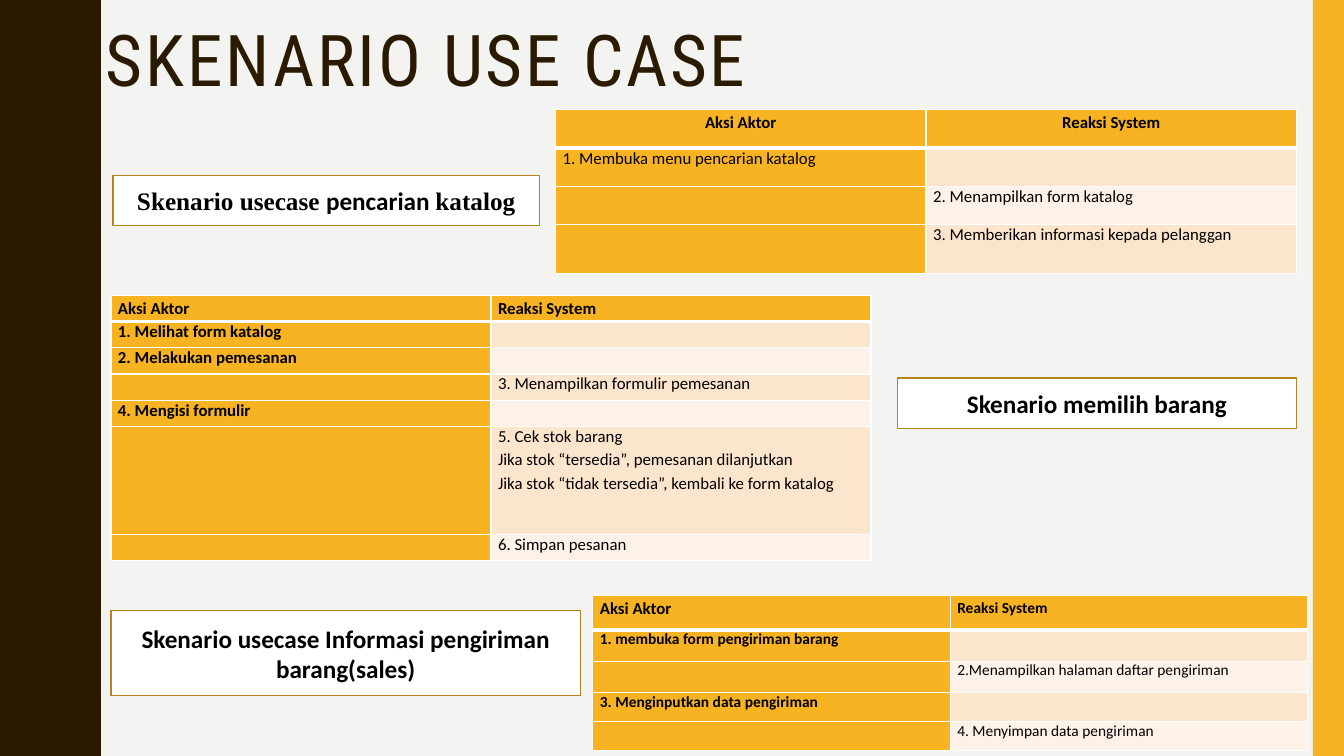
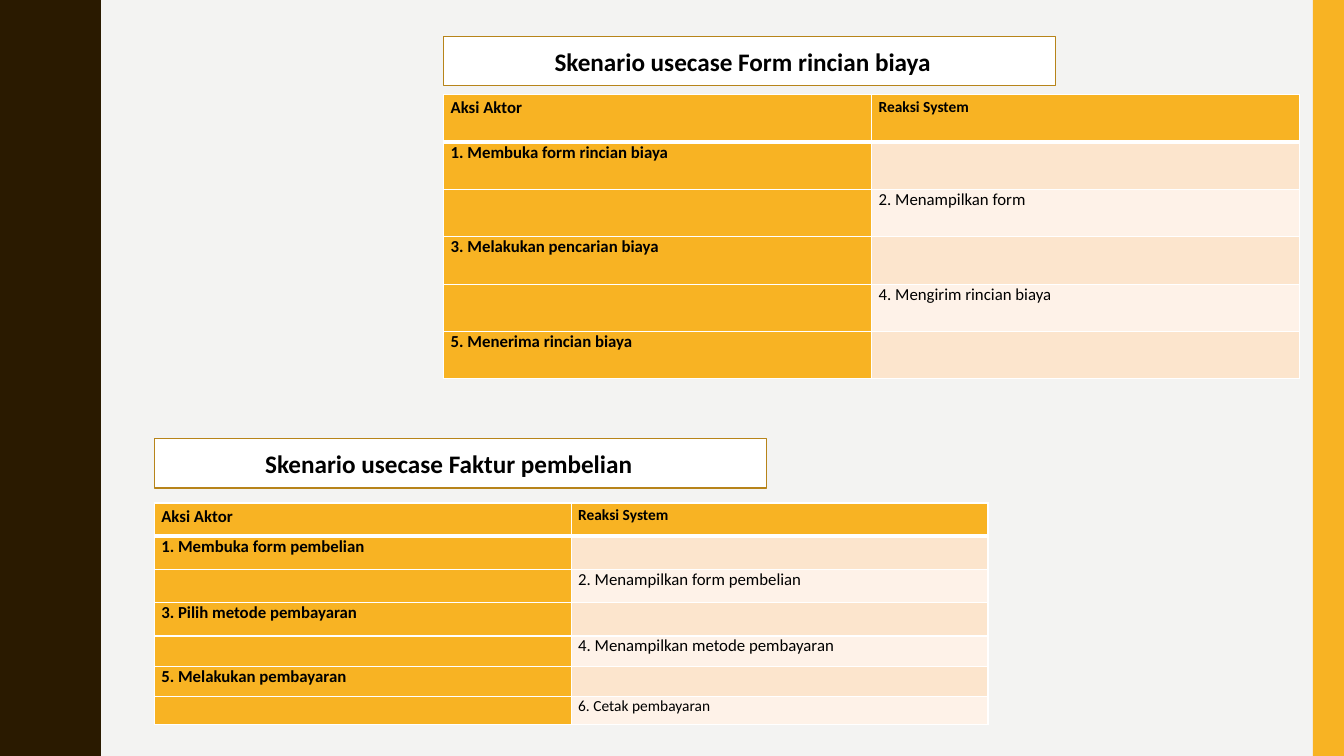
from lxml.etree import SubElement
from pptx import Presentation
from pptx.dml.color import RGBColor as Rgb
from pptx.enum.shapes import MSO_SHAPE as Shape
from pptx.enum.text import MSO_ANCHOR as Anchor, MSO_AUTO_SIZE as Auto, PP_ALIGN as Align
from pptx.oxml.ns import qn
from pptx.util import Inches, Pt

WIDE, HIGH = 13.33, 7.5
DARK, GOLD, EDGE, PALE = "2A1A00", "F8B323", "B7841A", "F3F3F2"
WHITE, BLACK = "FFFFFF", "000000"
BANDS = "FCE5CD", "FEF2E8"
HEADS = "Aksi Aktor", "Reaksi System"
FACE, SERIF, TITLE = "Calibri", "Times New Roman", "Roboto Condensed"
HALF = [
    (0.78, 0), (0.78, 0.07), (0.79, 0.14), (0.8, 0.2), (0.81, 0.25),
    (0.83, 0.29), (0.85, 0.33), (0.87, 0.38), (0.89, 0.42), (0.91, 0.46),
    (0.93, 0.5), (0.95, 0.55), (0.96, 0.61), (0.97, 0.68), (0.97, 0.75),
]
CYCLE = 1.5


def tint(code):
    return Rgb.from_string(code)


class Deck:
    def __init__(self):
        self.show = Presentation()
        self.show.slide_width = Inches(WIDE)
        self.show.slide_height = Inches(HIGH)
        self.paint(self.show.slide_master.background, PALE)
        self.slide = None

    def paint(self, item, code):
        item.fill.solid()
        item.fill.fore_color.rgb = tint(code)

    def style(self, run, size, face=FACE, bold=False, code=BLACK):
        font = run.font
        font.size, font.name, font.bold = Pt(size), face, bold
        font.color.rgb = tint(code)

    def page(self, title=None):
        lay = self.show.slide_layouts[5 if title else 6]
        self.slide = self.show.slides.add_slide(lay)
        self.wave()
        self.block(13.02, 0, 0.31, HIGH, GOLD)
        if title:
            self.title(title)

    def wave(self):
        pts = []
        for turn in range(5):
            top = turn * CYCLE
            pts += [(x, top + y) for x, y in HALF]
            pts += [(x, top + CYCLE - y) for x, y in reversed(HALF)]
        pen = self.slide.shapes.build_freeform(0, 0, scale=Inches(1))
        pen.add_line_segments(pts + [(0, HIGH)], close=True)
        side = pen.convert_to_shape()
        side.shadow.inherit = False
        self.paint(side, DARK)
        side.line.fill.background()

    def block(self, x, y, w, h, code, edge=None):
        box = self.slide.shapes.add_shape(
            Shape.RECTANGLE, Inches(x), Inches(y), Inches(w), Inches(h))
        box.shadow.inherit = False
        self.paint(box, code)
        if edge:
            box.line.color.rgb = tint(edge)
            box.line.width = Pt(1)
        else:
            box.line.fill.background()
        return box

    def title(self, text):
        head = self.slide.shapes.title
        head.left, head.top = Inches(0.95), Inches(0.2)
        head.width, head.height = Inches(11.13), Inches(1.63)
        frame = head.text_frame
        frame.text = text
        frame.auto_size = Auto.NONE
        frame.vertical_anchor = Anchor.TOP
        para = frame.paragraphs[0]
        para.alignment, para.line_spacing = Align.LEFT, 0.9
        run = para.runs[0]
        self.style(run, 51, TITLE, code=DARK)
        run.font._element.set("spc", "200")

    def label(self, x, y, w, h, *parts, inset=None):
        frame = self.block(x, y, w, h, WHITE, EDGE).text_frame
        frame.word_wrap = True
        frame.vertical_anchor = Anchor.MIDDLE
        para = frame.paragraphs[0]
        para.alignment = Align.CENTER
        if inset:
            para.alignment = Align.LEFT
            frame.margin_left = Inches(inset)
        for text, face in parts:
            run = para.add_run()
            run.text = text
            self.style(run, 18, face, True)

    def cell(self, cell, text, size, bold, code, rules, head=False, align=Align.LEFT):
        cell.margin_left = cell.margin_right = Inches(0.07)
        cell.margin_top = cell.margin_bottom = 0
        prop = cell._tc.get_or_add_tcPr()
        for side, wide in zip("LRTB", rules):
            line = SubElement(prop, qn(f"a:ln{side}"), w=str(Pt(wide)))
            fill = SubElement(line, qn("a:solidFill"))
            SubElement(fill, qn("a:srgbClr"), val=WHITE)
        self.paint(cell, code)
        frame = cell.text_frame
        if not text:
            SubElement(frame.paragraphs[0]._p, qn("a:endParaRPr"), sz=str(size * 100))
            return
        frame.text = text
        for i, para in enumerate(frame.paragraphs):
            para.alignment = align
            para.line_spacing = 1.15 if head or i else 1.0
            self.style(para.runs[0], size, bold=bold)

    def table(self, x, y, w, highs, steps, size=12, second=11, bold=True, align=Align.LEFT):
        grid = self.slide.shapes.add_table(
            len(highs), 2, Inches(x), Inches(y), Inches(w), Inches(sum(highs))).table
        for col in grid.columns:
            col.width = Inches(w / 2)
        for row, high in zip(grid.rows, highs):
            row.height = Inches(high)
        for col, (text, pt) in enumerate(zip(HEADS, (12, second))):
            self.cell(grid.cell(0, col), text, pt, True, GOLD, (1, 1, 1, 3), True, align)
        for row, (side, text, *own) in enumerate(steps, 1):
            rules = (1, 1, 3 if row == 1 else 1, 1)
            pt = own[0] if own else size
            for col, code in enumerate((GOLD, BANDS[(row - 1) % 2])):
                self.cell(grid.cell(row, col), text if col == side else "",
                          pt, bold and col == 0, code, rules)


def main():
    deck = Deck()

    deck.page("SKENARIO USE CASE")
    deck.table(5.51, 1.09, 7.35, [0.38] * 3 + [0.48], [
        (0, "1. Membuka menu pencarian katalog"),
        (1, "2. Menampilkan form katalog"),
        (1, "3. Memberikan informasi kepada pelanggan"),
    ], second=12, bold=False, align=Align.CENTER)
    deck.table(1.1, 2.93, 7.54, [0.26] * 5 + [1.07, 0.26], [
        (0, "1. Melihat form katalog"),
        (0, "2. Melakukan pemesanan"),
        (1, "3. Menampilkan formulir pemesanan"),
        (0, "4. Mengisi formulir"),
        (1, "5. Cek stok barang\nJika stok “tersedia”, pemesanan dilanjutkan\n"
            "Jika stok “tidak tersedia”, kembali ke form katalog"),
        (1, "6. Simpan pesanan"),
    ], second=12)
    deck.table(5.88, 5.91, 7.09, [0.34, 0.31, 0.31, 0.29, 0.29], [
        (0, "1. membuka form pengiriman barang"),
        (1, "2.Menampilkan halaman daftar pengiriman"),
        (0, "3. Menginputkan data pengiriman"),
        (1, "4. Menyimpan data pengiriman"),
    ], size=11)
    deck.label(1.12, 1.74, 4.23, 0.5, ("Skenario usecase ", SERIF),
               ("pencarian ", FACE), ("katalog", SERIF))
    deck.label(8.9, 3.75, 3.96, 0.5, ("Skenario memilih barang", FACE))
    deck.label(1.1, 6.06, 4.66, 0.84,
               ("Skenario usecase Informasi pengiriman barang(sales)", FACE))

    deck.page()
    deck.table(4.4, 0.94, 8.49, [0.47] * 6, [
        (0, "1. Membuka form rincian biaya"),
        (1, "2. Menampilkan form"),
        (0, "3. Melakukan pencarian biaya"),
        (1, "4. Mengirim rincian biaya"),
        (0, "5. Menerima rincian biaya"),
    ])
    deck.label(4.4, 0.36, 6.07, 0.49, ("Skenario usecase Form rincian biaya", FACE), inset=1.1)
    deck.table(1.53, 4.99, 8.27, [0.33] * 4 + [0.3, 0.3, 0.28], [
        (0, "1. Membuka form pembelian"),
        (1, "2. Menampilkan form pembelian"),
        (0, "3. Pilih metode pembayaran"),
        (1, "4. Menampilkan metode pembayaran"),
        (0, "5. Melakukan pembayaran"),
        (1, "6. Cetak pembayaran", 11),
    ])
    deck.label(1.53, 4.35, 6.07, 0.49, ("Skenario usecase Faktur pembelian", FACE), inset=1.1)

    deck.show.save("out.pptx")


if __name__ == "__main__":
    main()
